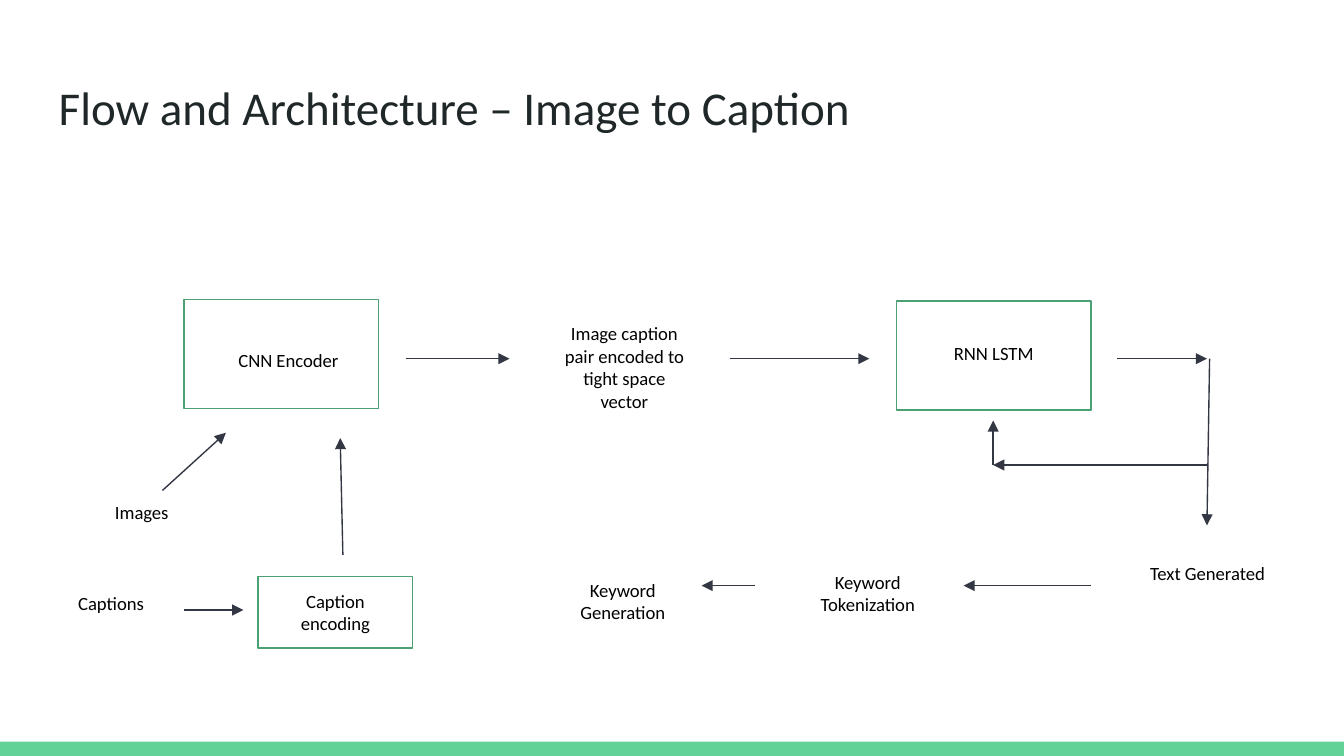
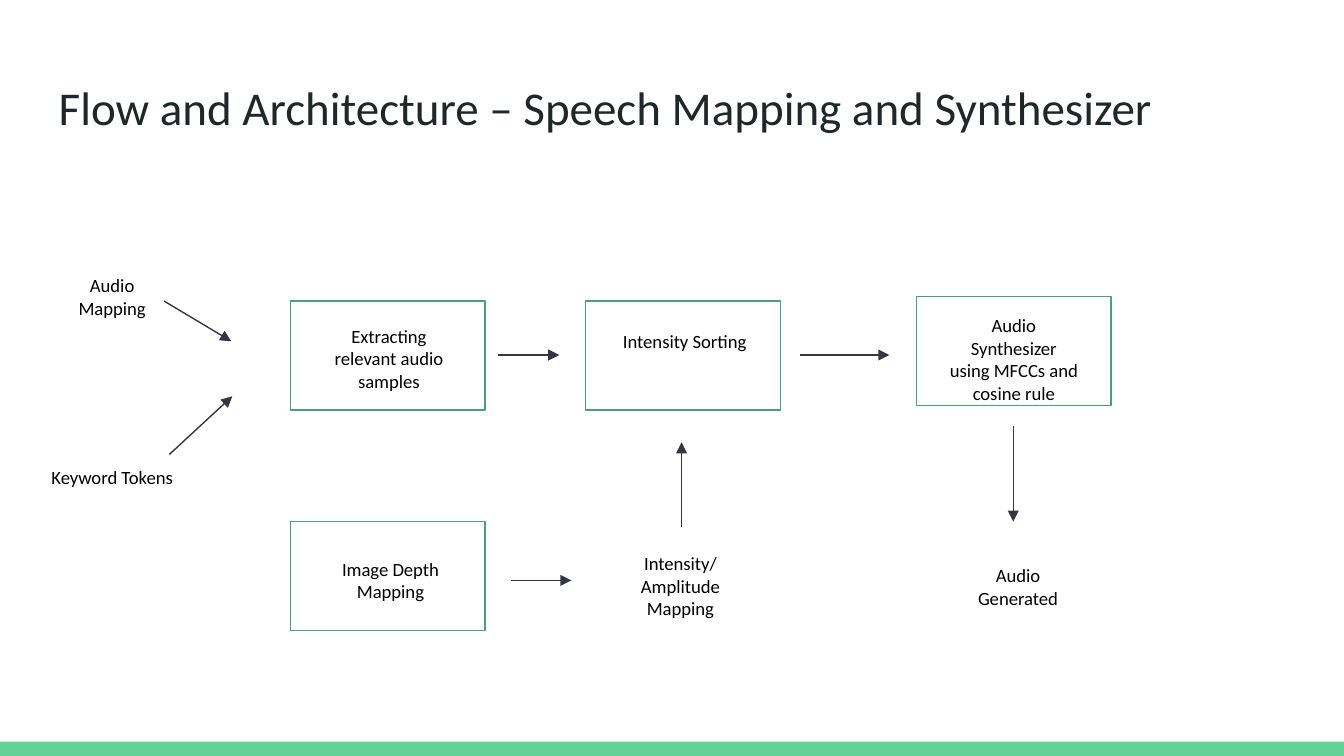
from lxml import etree
from pptx import Presentation
from pptx.dml import color
from pptx.enum import shapes, text
from pptx.oxml import ns
from pptx.util import Cm, Pt

FONT = "Calibri"
GREEN, EDGE, LINE = "63D297", "4BA173", "333643"
DARK, BLACK = "202729", "000000"
WIDE, HIGH = 25.4, 14.29
BAND = 0.27
BOX = (3.68, 2.06)
LABEL = 2.92
PAD = 0.25


def rgb(code):
    return color.RGBColor.from_string(code)


class Deck:
    def __init__(self):
        self.prs = Presentation()
        self.prs.slide_width, self.prs.slide_height = Cm(WIDE), Cm(HIGH)
        self.base = self.prs.slide_layouts[5]
        self.slide = None

    def page(self, title):
        first = self.slide is None
        self.slide = self.prs.slides.add_slide(self.base)
        if first:
            self.band()
        head = self.slide.shapes.title
        head.left, head.top, head.width, head.height = map(Cm, (0.86, 1.24, 23.67, 1.6))
        self.fill_in(head.text_frame, [title], 25.2, DARK, text.PP_ALIGN.LEFT)
        head.text_frame.auto_size = text.MSO_AUTO_SIZE.NONE

    def band(self):
        """Draw the footer band and move it to the shared layout."""
        bar = self.rect(0, HIGH - BAND, WIDE, BAND)
        bar.fill.solid()
        bar.fill.fore_color.rgb = rgb(GREEN)
        bar.line.fill.background()
        self.base.shapes._spTree.append(bar._element)

    def fill_in(self, frame, lines, size, ink, align):
        frame.word_wrap = True
        frame.vertical_anchor = text.MSO_ANCHOR.TOP
        frame.margin_left = frame.margin_right = Cm(PAD)
        frame.margin_top = frame.margin_bottom = Cm(PAD)
        for i, line in enumerate(lines):
            para = frame.add_paragraph() if i else frame.paragraphs[0]
            para.alignment = align
            run = para.add_run()
            run.text = line
            run.font.name, run.font.size = FONT, Pt(size)
            run.font.color.rgb = rgb(ink)

    def rect(self, x, y, w, h):
        shape = self.slide.shapes.add_shape(
            shapes.MSO_SHAPE.RECTANGLE, Cm(x), Cm(y), Cm(w), Cm(h))
        shape.shadow.inherit = False
        return shape

    def box(self, x, y, size=BOX):
        shape = self.rect(x, y, *size)
        shape.fill.background()
        shape.line.color.rgb = rgb(EDGE)
        shape.line.width = Pt(0.75)

    def label(self, words, x, y, rows=1, w=LABEL):
        """Centred text, as high as the given number of rows."""
        area = self.slide.shapes.add_textbox(
            Cm(x), Cm(y), Cm(w), Cm(0.51 + 0.43 * rows))
        self.fill_in(area.text_frame, words.split("\n"), 10, BLACK, text.PP_ALIGN.CENTER)
        area.text_frame.auto_size = text.MSO_AUTO_SIZE.SHAPE_TO_FIT_TEXT

    def arrow(self, *ends):
        link = self.slide.shapes.add_connector(
            shapes.MSO_CONNECTOR.STRAIGHT, *map(Cm, ends))
        link.line.color.rgb = rgb(LINE)
        link.line.width = Pt(0.75)
        tip = etree.SubElement(link.line._get_or_add_ln(), ns.qn("a:tailEnd"))
        tip.set("type", "triangle")
        etree.SubElement(link._element.spPr, ns.qn("a:effectLst"))

    def draw(self, boxes, labels, arrows):
        for item in boxes:
            self.box(*item)
        for item in labels:
            self.label(*item)
        for item in arrows:
            self.arrow(*item)


def caption(deck):
    deck.page("Flow and Architecture – Image to Caption")
    flow, back, low = 6.78, 8.79, 11.07  # heights of the arrow rows
    turn, loop = 22.81, 18.77  # sides of the feedback loop
    deck.draw(
        boxes=[(3.48, 5.66), (16.94, 5.69), (4.88, 10.9, (LABEL, 1.35))],
        labels=[
            ("CNN Encoder", 3.99, 6.38),
            ("Image caption pair encoded to tight space vector", 10.34, 5.84, 4),
            ("RNN LSTM", 17.32, 6.25),
            ("Images", 1.22, 9.25),
            ("Captions", 1.12, 10.97, 1, 1.96),
            ("Caption encoding", 4.88, 10.9, 2),
            ("Text Generated", 21.36, 10.41, 2),
            ("Keyword Tokenization", 14.94, 10.54, 2),
            ("Keyword Generation", 10.31, 10.69, 2),
        ],
        arrows=[
            # Inputs
            (3.07, 9.27, 4.27, 8.18),
            (6.48, 10.49, 6.43, 8.28),
            (3.48, 11.53, 4.6, 11.53),
            # Main flow
            (7.67, flow, 9.63, flow),
            (13.79, flow, 16.43, flow),
            (21.11, flow, turn, flow),
            (22.86, flow, turn, 9.93),
            # Feedback loop
            (turn, back, loop, back),
            (loop, back, loop, 7.95),
            # Keywords
            (20.62, low, 18.21, low),
            (14.27, low, 13.26, low),
        ])


def speech(deck):
    deck.page("Flow and Architecture – Speech Mapping and Synthesizer")
    flow, low = 6.71, 10.97  # heights of the arrow rows
    deck.draw(
        boxes=[(5.49, 5.69), (11.07, 5.69), (17.32, 5.61), (5.49, 9.86)],
        labels=[
            ("Audio\nMapping", 0.66, 4.93, 2),
            ("Keyword Tokens", 0.66, 8.59, 2),
            ("Extracting relevant audio samples", 5.89, 5.89, 3),
            ("Intensity Sorting", 11.48, 6.02, 2),
            ("Audio Synthesizer using MFCCs and cosine rule", 17.7, 5.69, 4),
            ("Image Depth Mapping", 5.92, 10.29, 2),
            ("Intensity/ Amplitude Mapping", 11.4, 10.19, 3),
            ("Audio Generated", 17.78, 10.41, 2),
        ],
        arrows=[
            # Inputs
            (3.1, 5.69, 4.37, 6.45),
            (3.2, 8.59, 4.39, 7.49),
            # Main flow
            (9.42, flow, 10.57, flow),
            (15.11, flow, 16.81, flow),
            (19.15, 8.05, 19.15, 9.86),
            # Depth branch
            (9.65, low, 10.8, low),
            (12.88, 9.96, 12.88, 8.36),
        ])


def main():
    deck = Deck()
    caption(deck)
    speech(deck)
    deck.prs.save("out.pptx")


if __name__ == "__main__":
    main()
